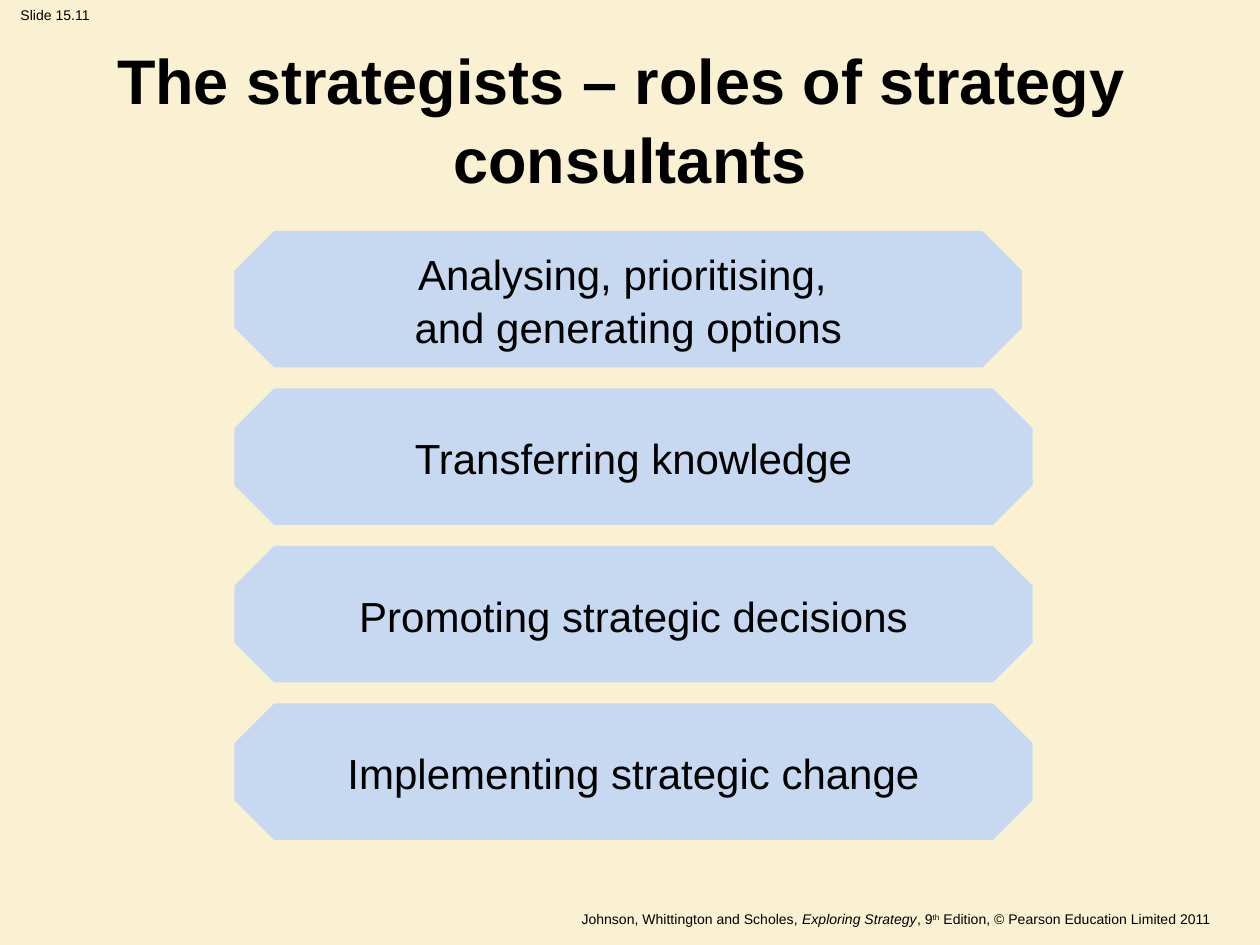
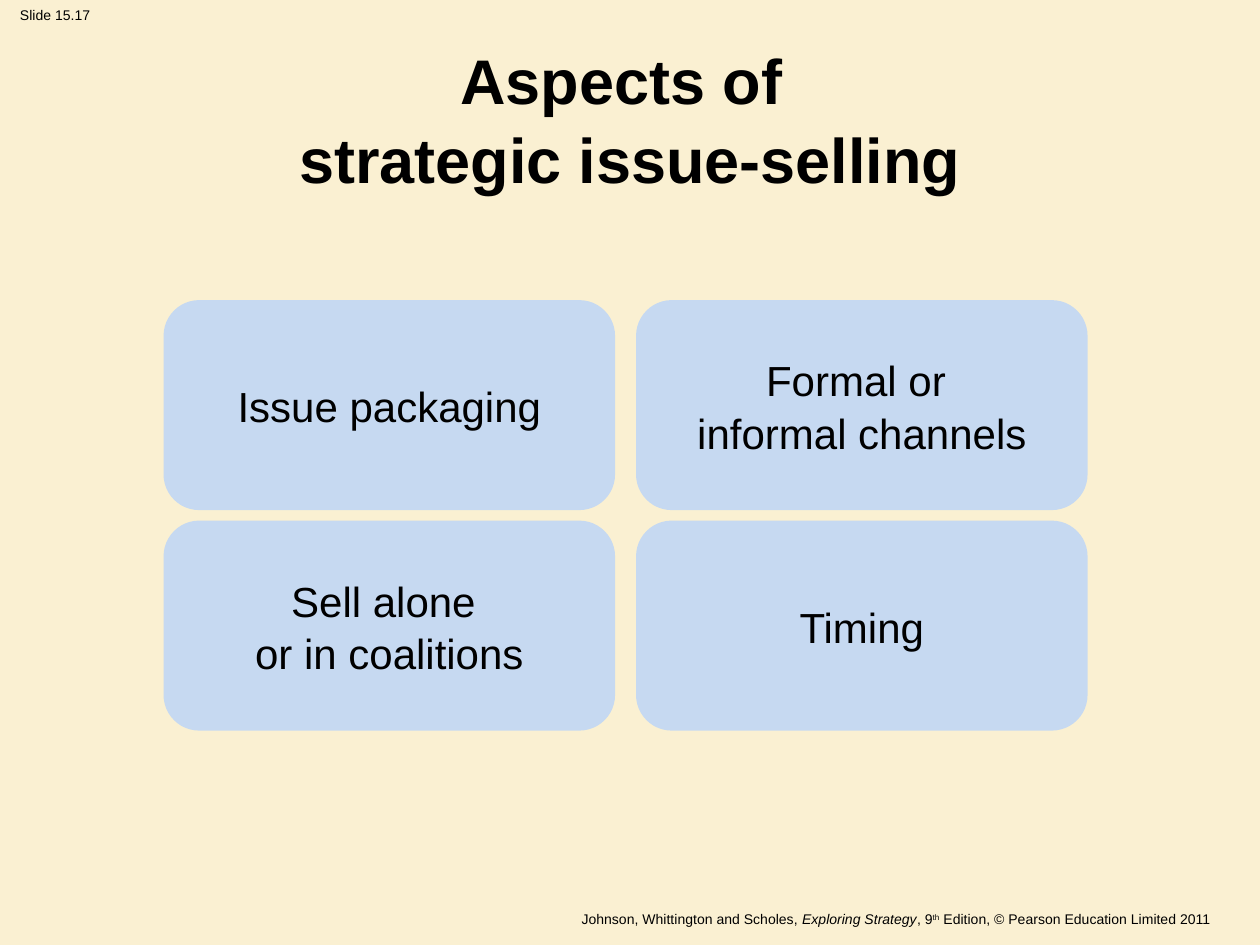
from dataclasses import dataclass

from pptx import Presentation
from pptx.dml.color import RGBColor as RGB
from pptx.enum.shapes import MSO_SHAPE as SHAPE
from pptx.enum.text import MSO_ANCHOR as ANCHOR, PP_ALIGN as ALIGN
from pptx.util import Pt


@dataclass(frozen=True)
class Theme:
    font: str = "Arial"
    background: RGB = RGB(0xFA, 0xF0, 0xD2)
    panel: RGB = RGB(0xC6, 0xD9, 0xF1)
    ink: RGB = RGB(0, 0, 0)
    title_size: int = 36
    panel_size: int = 24
    small_size: int = 8
    leading: float = 1.04


THEME = Theme()
CITATION = [
    ("Johnson, Whittington and Scholes, ", None),
    ("Exploring Strategy", "italic"),
    (", 9", None),
    ("th", "superscript"),
    (" Edition, © Pearson Education Limited 2011", None),
]
CONSULTANT_ROLES = [
    ("Analysing, prioritising, \nand generating options", 450),
    ("Transferring knowledge", 456),
    ("Promoting strategic decisions", 456),
    ("Implementing strategic change", 456),
]
SELLING_ASPECTS = [
    "Issue packaging",
    "Formal or \ninformal channels",
    "Sell alone \nor in coalitions",
    "Timing",
]


def style_text(tf, size, align=ALIGN.CENTER, bold=False, leading=None):
    for p in tf.paragraphs:
        p.alignment = align
        p.line_spacing = leading
        for r in p.runs:
            r.font.name = THEME.font
            r.font.size = Pt(size)
            r.font.bold = bold
            r.font.color.rgb = THEME.ink


def add_text(slide, x, y, w, h, text="", anchor=ANCHOR.TOP, wrap=True):
    tf = slide.shapes.add_textbox(Pt(x), Pt(y), Pt(w), Pt(h)).text_frame
    tf.word_wrap = wrap
    tf.vertical_anchor = anchor
    tf.text = text
    return tf


def add_slide_label(slide, number):
    tf = add_text(slide, 0, 0, 63, 17, f"Slide {number}", wrap=False)
    style_text(tf, THEME.small_size)


def add_title(slide, title):
    tf = add_text(slide, 36, 20, 648, 94, anchor=ANCHOR.MIDDLE)
    tf.paragraphs[0].text = title
    style_text(tf, THEME.title_size, bold=True, leading=THEME.leading)


def add_citation(slide):
    tf = add_text(slide, 19, 517, 680, 15)
    for text, style in CITATION:
        r = tf.paragraphs[0].add_run()
        r.text = text
        if style == "italic":
            r.font.italic = True
        elif style == "superscript":
            r.font._element.set("baseline", "30000")
    style_text(tf, THEME.small_size, ALIGN.RIGHT)


def add_panel(slide, kind, corner, x, y, w, h, text):
    sp = slide.shapes.add_shape(kind, Pt(x), Pt(y), Pt(w), Pt(h))
    sp.adjustments[0] = corner
    sp.shadow.inherit = False
    sp.fill.solid()
    sp.fill.fore_color.rgb = THEME.panel
    sp.line.fill.background()
    tf = sp.text_frame
    tf.word_wrap = False
    tf.vertical_anchor = ANCHOR.MIDDLE
    tf.text = text
    style_text(tf, THEME.panel_size, leading=THEME.leading)


def add_framed_slide(prs, number, title):
    slide = prs.slides.add_slide(prs.slide_layouts[6])
    add_slide_label(slide, number)
    add_citation(slide)
    add_title(slide, title)
    return slide


def add_role_stack(slide, roles):
    for row, (text, width) in enumerate(roles):
        add_panel(slide, SHAPE.OCTAGON, 0.29, 134, 132 + 90 * row, width, 78, text)


def add_aspect_grid(slide, aspects):
    for i, text in enumerate(aspects):
        row, col = divmod(i, 2)
        x, y = 93.5 + 270 * col, 171.5 + 126 * row
        add_panel(slide, SHAPE.ROUNDED_RECTANGLE, 0.17, x, y, 258, 120, text)


def main():
    prs = Presentation()
    prs.slide_width, prs.slide_height = Pt(720), Pt(540)
    fill = prs.slide_master.background.fill
    fill.solid()
    fill.fore_color.rgb = THEME.background

    roles = add_framed_slide(
        prs, "15.11", "The strategists – roles of strategy \vconsultants")
    add_role_stack(roles, CONSULTANT_ROLES)

    selling = add_framed_slide(
        prs, "15.17", "Aspects of \vstrategic issue-selling")
    add_aspect_grid(selling, SELLING_ASPECTS)

    prs.save("out.pptx")


if __name__ == "__main__":
    main()
